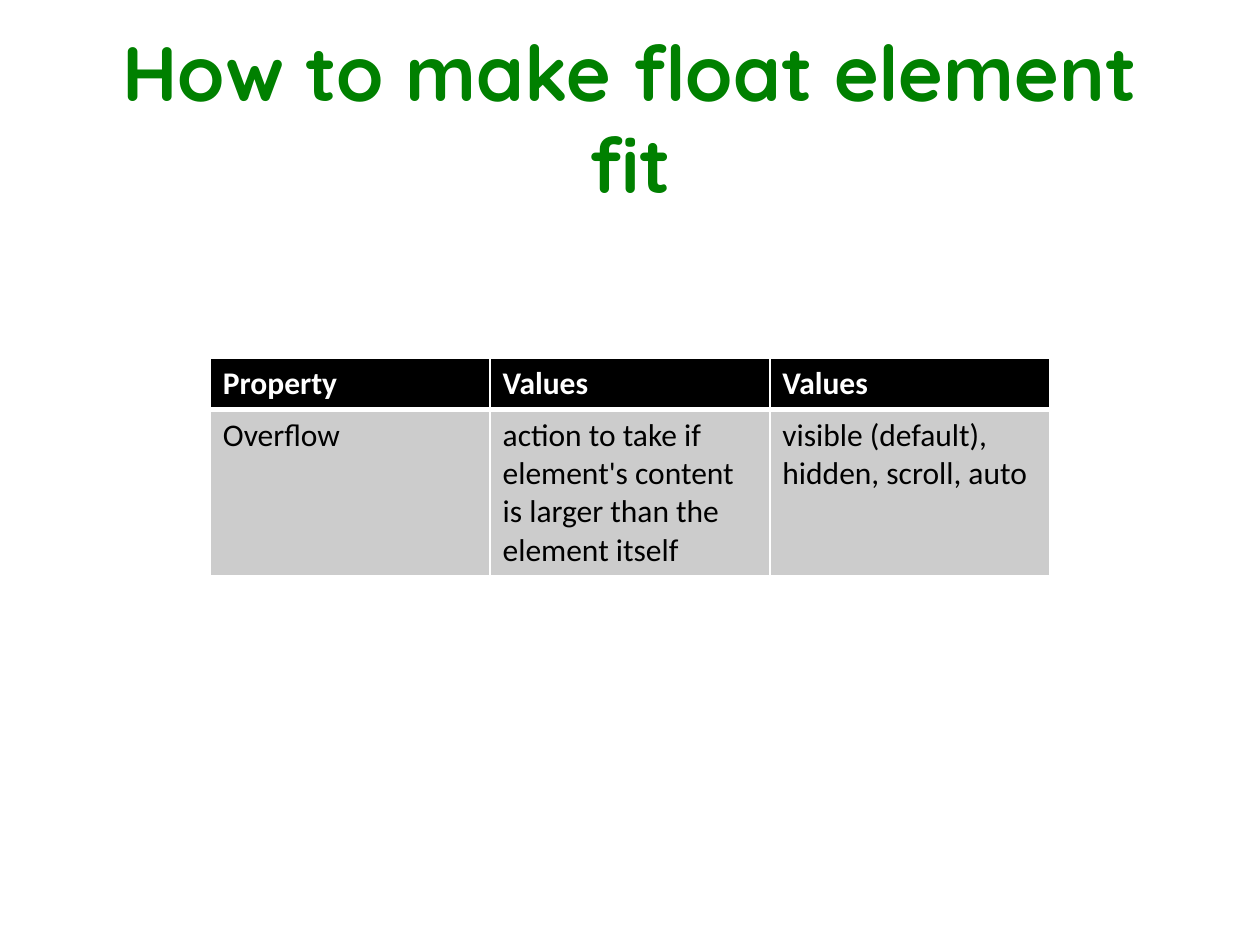
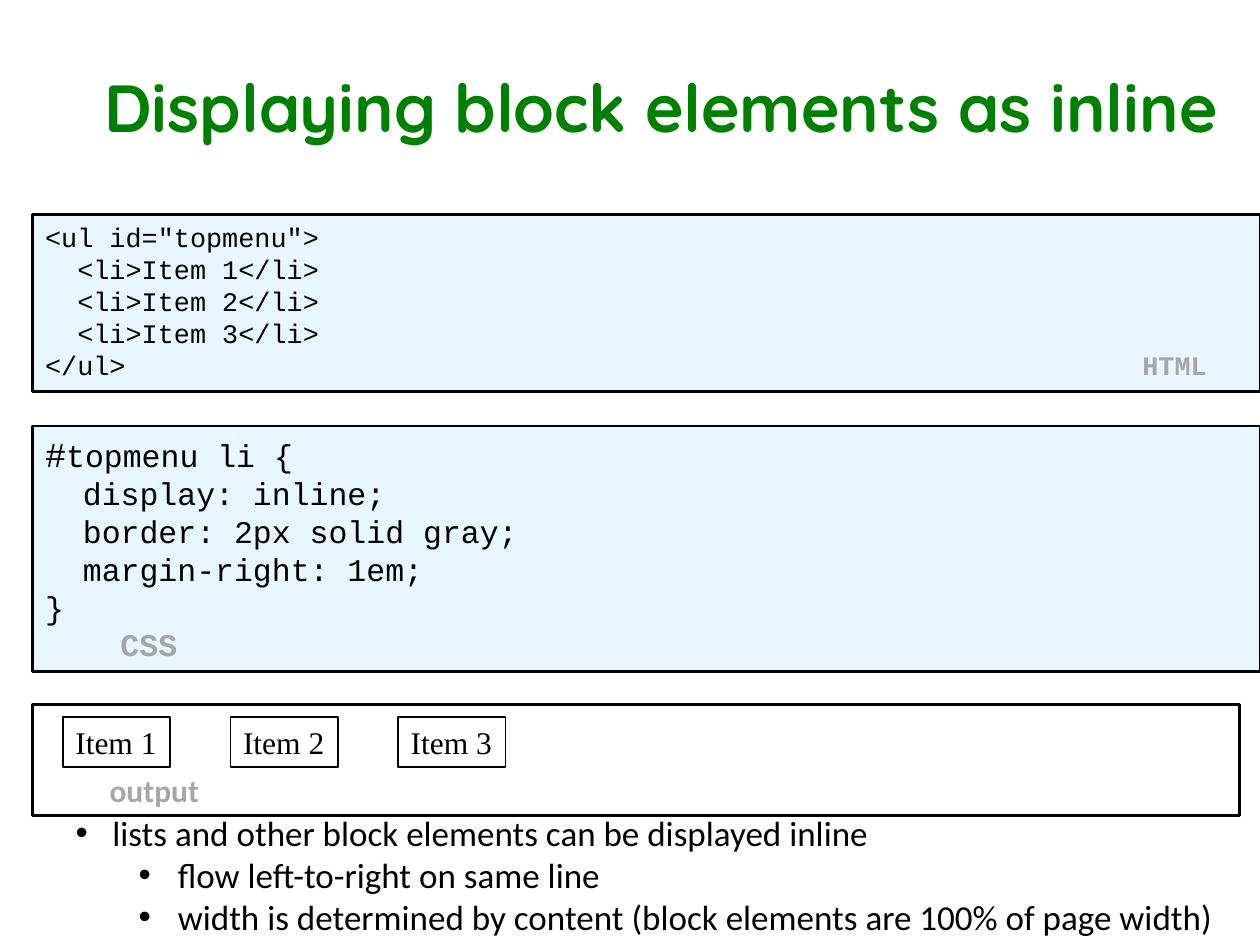
import pptx
import pptx.util
import pptx.dml.color
import pptx.enum.shapes
import pptx.enum.text
import pptx.oxml
import pptx.oxml.ns
from pptx.util import Cm, Pt

GREEN, BLACK, WHITE = "008000", "000000", "FFFFFF"
GRAY, CELL_GRAY, CODE_BLUE = "A6A6A6", "CCCCCC", "E7F6FF"
TITLE_FONT, BODY_FONT, CODE_FONT, OUTPUT_FONT = (
    "Quicksand", "Calibri", "Courier New", "Times New Roman")
LAYOUT_TITLE_CONTENT, LAYOUT_TITLE_ONLY = 1, 5

FLOAT_TITLE = "How to make float element fit"
FLOAT_TABLE = [
    ["Property", "Values", "Values"],
    ["Overflow",
     "action to take if element's content is larger than the element itself",
     "visible (default), hidden, scroll, auto"],
]
ROW_HEIGHTS = [1.04, 3.3]
COLUMN_WIDTH = 5.64

INLINE_TITLE = "Displaying block elements as inline"
HTML_LINES = [
    '<ul id="topmenu">',
    "  <li>Item 1</li>",
    "  <li>Item 2</li>",
    "  <li>Item 3</li>",
    "</ul>",
]
CSS_LINES = [
    "topmenu li {",
    "  display: inline;",
    "  border: 2px solid gray;",
    "  margin-right: 1em;",
    "}",
]
OUTPUT_ITEMS = ["Item 1", "Item 2", "Item 3"]
BULLETS = [
    (0, "lists and other block elements can be displayed inline"),
    (1, "flow left-to-right on same line"),
    (1, "width is determined by content (block elements are 100% of page width)"),
]
BULLET_INDENTS = [(0.74, 0.74), (2.06, 0.79)]  # text margin and hanging part, cm

BOX_LEFT = 0.66
CODE_WIDTH = 24.74
ITEM_LEFT, ITEM_STEP = 1.27, 3.38


def color(hex_string):
    return pptx.dml.color.RGBColor.from_string(hex_string)


def add_xml(parent, xml):
    """Append an element written with the a: prefix."""
    declaration = pptx.oxml.ns.nsdecls("a")
    name, rest = xml[1:].split(" ", 1)
    parent.append(pptx.oxml.parse_xml(f"<{name} {declaration} {rest}"))


def add_run(paragraph, text, size, font_name, font_color=BLACK, bold=False):
    run = paragraph.add_run()
    run.text = text
    run.font.size = Pt(size)
    run.font.name = font_name
    run.font.bold = bold
    run.font.color.rgb = color(font_color)


def next_paragraph(text_frame):
    """Return the empty first paragraph, or a new one after the last."""
    first = text_frame.paragraphs[0]
    return text_frame.add_paragraph() if first.runs else first


def place(shape, left, top, width, height):
    shape.left, shape.top = Cm(left), Cm(top)
    shape.width, shape.height = Cm(width), Cm(height)


def add_titled_slide(presentation, layout, title_text, size, width, height):
    slide = presentation.slides.add_slide(presentation.slide_layouts[layout])
    title = slide.shapes.title
    place(title, 1.27, 0.76, width, height)
    title.text_frame.auto_size = pptx.enum.text.MSO_AUTO_SIZE.NONE
    title.text_frame.vertical_anchor = pptx.enum.text.MSO_ANCHOR.MIDDLE
    paragraph = title.text_frame.paragraphs[0]
    paragraph.alignment = pptx.enum.text.PP_ALIGN.CENTER
    add_run(paragraph, title_text, size, TITLE_FONT, GREEN, bold=True)
    return slide


def add_box(slide, left, top, width, height, fill=None, line_width=1.5):
    box = slide.shapes.add_shape(
        pptx.enum.shapes.MSO_SHAPE.RECTANGLE,
        Cm(left), Cm(top), Cm(width), Cm(height))
    box.shadow.inherit = False
    if fill:
        box.fill.solid()
        box.fill.fore_color.rgb = color(fill)
    else:
        box.fill.background()
    box.line.color.rgb = color(BLACK)
    box.line.width = Pt(line_width)
    box.text_frame.word_wrap = True
    box.text_frame.vertical_anchor = pptx.enum.text.MSO_ANCHOR.TOP
    return box


def add_line(text_frame, text, size, font_name, **run_options):
    paragraph = next_paragraph(text_frame)
    paragraph.alignment = pptx.enum.text.PP_ALIGN.LEFT
    add_run(paragraph, text, size, font_name, **run_options)
    return paragraph


def add_label(text_frame, text, font_name, margin):
    """Add an indented gray line that names the box."""
    paragraph = add_line(text_frame, text, 18, font_name,
                         font_color=GRAY, bold=True)
    paragraph._p.get_or_add_pPr().set("marL", str(Cm(margin)))


def add_html_box(slide):
    frame = add_box(slide, BOX_LEFT, 4.32, CODE_WIDTH, 3.58, CODE_BLUE).text_frame
    size = 15.3
    for line in HTML_LINES:
        paragraph = add_line(frame, line, size, CODE_FONT)
    add_xml(paragraph._p.get_or_add_pPr(),
            f'<a:tabLst ><a:tab pos="{Cm(23.42)}" algn="r"/></a:tabLst>')
    add_run(paragraph, "\tHTML", size, CODE_FONT, GRAY, bold=True)


def add_css_box(slide):
    frame = add_box(slide, BOX_LEFT, 8.59, CODE_WIDTH, 4.95, CODE_BLUE).text_frame
    selector = add_line(frame, "#", 20, CODE_FONT)
    add_run(selector, CSS_LINES[0], 18, CODE_FONT)
    for line in CSS_LINES[1:]:
        add_line(frame, line, 18, CODE_FONT)
    add_label(frame, "CSS", CODE_FONT, 1.52)


def add_output_box(slide):
    frame = add_box(slide, BOX_LEFT, 14.2, 24.33, 2.24).text_frame
    frame.vertical_anchor = pptx.enum.text.MSO_ANCHOR.BOTTOM
    add_label(frame, "output", BODY_FONT, 1.3)
    for index, text in enumerate(OUTPUT_ITEMS):
        item = add_box(slide, ITEM_LEFT + index * ITEM_STEP, 14.45, 2.16, 1.02,
                       line_width=1)
        item.text_frame.word_wrap = False
        add_line(item.text_frame, text, 18, OUTPUT_FONT)


def fill_bullets(body):
    place(body, 1.27, 16.23, 24.13, 2.82)
    frame = body.text_frame
    frame.auto_size = pptx.enum.text.MSO_AUTO_SIZE.NONE
    for level, text in BULLETS:
        paragraph = next_paragraph(frame)
        paragraph.level = level
        paragraph.space_before = Pt(0)
        margin, hanging = BULLET_INDENTS[level]
        properties = paragraph._p.get_or_add_pPr()
        properties.set("marL", str(Cm(margin)))
        properties.set("indent", str(-Cm(hanging)))
        add_xml(properties, '<a:buFont typeface="Arial"/>')
        add_xml(properties, '<a:buChar char="•"/>')
        add_run(paragraph, text, 20, BODY_FONT)


def format_cell(cell, text, is_header):
    properties = cell._tc.get_or_add_tcPr()
    for side in "LRTB":
        heavy = (is_header and side == "B") or (not is_header and side == "T")
        add_xml(properties,
                f'<a:ln{side} w="{Pt(3 if heavy else 1)}"><a:solidFill>'
                f'<a:srgbClr val="{WHITE}"/></a:solidFill></a:ln{side}>')
    cell.fill.solid()
    cell.fill.fore_color.rgb = color(BLACK if is_header else CELL_GRAY)
    add_run(cell.text_frame.paragraphs[0], text, 18, BODY_FONT,
            WHITE if is_header else BLACK, bold=is_header)


def add_float_table(slide):
    columns = len(FLOAT_TABLE[0])
    table = slide.shapes.add_table(
        len(FLOAT_TABLE), columns, Cm(4.24), Cm(7.22),
        Cm(columns * COLUMN_WIDTH), Cm(sum(ROW_HEIGHTS))).table
    for column in table.columns:
        column.width = Cm(COLUMN_WIDTH)
    for row_index, texts in enumerate(FLOAT_TABLE):
        table.rows[row_index].height = Cm(ROW_HEIGHTS[row_index])
        for column_index, text in enumerate(texts):
            format_cell(table.cell(row_index, column_index), text, row_index == 0)


def main():
    presentation = pptx.Presentation()
    presentation.slide_width, presentation.slide_height = Cm(25.4), Cm(19.05)

    float_slide = add_titled_slide(
        presentation, LAYOUT_TITLE_ONLY, FLOAT_TITLE, 44, 22.86, 3.18)
    add_float_table(float_slide)

    inline_slide = add_titled_slide(
        presentation, LAYOUT_TITLE_CONTENT, INLINE_TITLE, 38, 24.13, 2.77)
    add_html_box(inline_slide)
    add_css_box(inline_slide)
    add_output_box(inline_slide)
    fill_bullets(inline_slide.placeholders[1])

    presentation.save("out.pptx")


if __name__ == "__main__":
    main()
